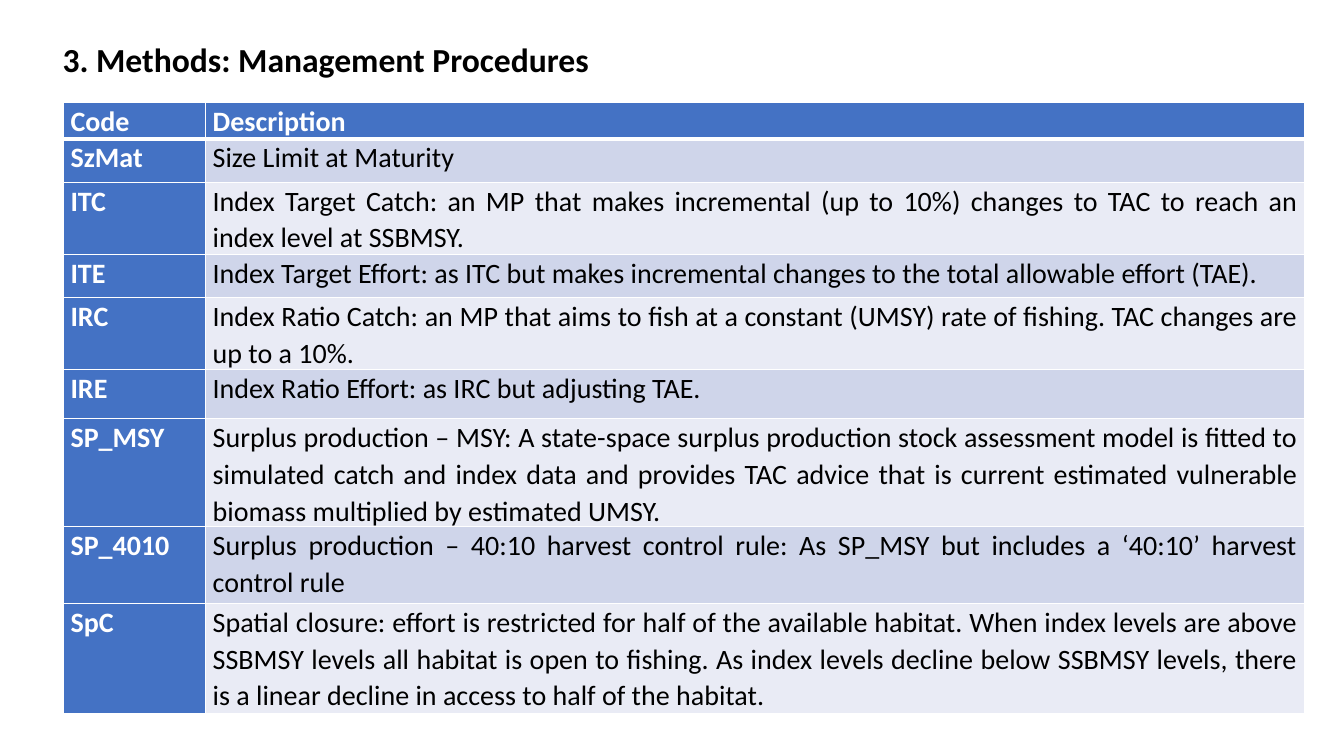
from pptx import Presentation
from pptx import util as u
from pptx.dml import color
from pptx.enum import text
from pptx.oxml import parse_xml
from pptx.oxml import ns

FONT = "Calibri"
BLUE, WHITE, BLACK = "4472C4", "FFFFFF", "000000"
BANDS = ["E9EBF5", "CFD5EA"]
COLUMN_WIDTHS = [1.41, 10.9]
PROCEDURES = [
    (0.22, "Code", "Description"),
    (0.43, "SzMat", "Size Limit at Maturity"),
    (0.65, "ITC", "Index Target Catch: an MP that makes incremental (up to 10%) changes "
                  "to TAC to reach an index level at SSBMSY."),
    (0.43, "ITE", "Index Target Effort: as ITC but makes incremental changes to the "
                  "total allowable effort (TAE)."),
    (0.65, "IRC", "Index Ratio Catch: an MP that aims to fish at a constant (UMSY) rate "
                  "of fishing. TAC changes are up to a 10%."),
    (0.49, "IRE", "Index Ratio Effort: as IRC but adjusting TAE."),
    (0.65, "SP_MSY", "Surplus production – MSY: A state-space surplus production stock "
                     "assessment model is fitted to simulated catch and index data and "
                     "provides TAC advice that is current estimated vulnerable biomass "
                     "multiplied by estimated UMSY."),
    (0.76, "SP_4010", "Surplus production – 40:10 harvest control rule: As SP_MSY but "
                      "includes a ‘40:10’ harvest control rule"),
    (1.09, "SpC", "Spatial closure: effort is restricted for half of the available "
                  "habitat. When index levels are above SSBMSY levels all habitat is open "
                  "to fishing. As index levels decline below SSBMSY levels, there is a "
                  "linear decline in access to half of the habitat."),
]


def rgb(value):
    """Return the colour for a hex string."""
    return color.RGBColor.from_string(value)


def add_run(para, words, size, ink, bold):
    """Add one formatted run to a paragraph."""
    span = para.add_run()
    span.text = words
    span.font.name = FONT
    span.font.size = u.Pt(size)
    span.font.bold = bold
    span.font.color.rgb = rgb(ink)


def set_title(page, words):
    """Place and format the slide title."""
    box = page.shapes.title
    box.left, box.top = u.Inches(0.52), u.Inches(0.34)
    box.width, box.height = u.Inches(6.26), u.Inches(0.5)
    frame = box.text_frame
    frame.word_wrap = True
    frame.auto_size = text.MSO_AUTO_SIZE.SHAPE_TO_FIT_TEXT
    frame.vertical_anchor = text.MSO_ANCHOR.TOP
    para = frame.paragraphs[0]
    para.alignment = text.PP_ALIGN.LEFT
    add_run(para, words, 24, BLACK, True)


def set_borders(cell, bottom, top):
    """Draw white borders around a cell, with widths in points."""
    properties = cell._tc.get_or_add_tcPr()
    widths = {"lnL": 1, "lnR": 1, "lnT": top, "lnB": bottom}
    for place, (side, width) in enumerate(widths.items()):
        properties.insert(place, parse_xml(
            f'<a:{side} {ns.nsdecls("a")} w="{u.Pt(width)}"><a:solidFill>'
            f'<a:srgbClr val="{WHITE}"/></a:solidFill></a:{side}>'))


def fill_cell(cell, words, row, is_label):
    """Write and format one cell of the table."""
    strong = row == 0 or is_label
    cell.margin_left = cell.margin_right = u.Inches(0.07)
    cell.margin_top = cell.margin_bottom = 0
    cell.fill.solid()
    cell.fill.fore_color.rgb = rgb(BLUE if strong else BANDS[row % 2])
    set_borders(cell, bottom=3 if row == 0 else 1, top=3 if row == 1 else 1)
    para = cell.text_frame.paragraphs[0]
    para.alignment = text.PP_ALIGN.JUSTIFY
    para.line_spacing = 1.07
    para.space_after = u.Pt(8)
    add_run(para, words, 20, WHITE if strong else BLACK, strong)


def add_procedures(page):
    """Add the table of management procedures."""
    frame = page.shapes.add_table(
        len(PROCEDURES), len(COLUMN_WIDTHS),
        u.Inches(0.63), u.Inches(1.02), u.Inches(12.31), u.Inches(5.98))
    table = frame.table
    table.first_col = True
    for column, width in zip(table.columns, COLUMN_WIDTHS):
        column.width = u.Inches(width)
    for row, (height, code, description) in enumerate(PROCEDURES):
        table.rows[row].height = u.Inches(height)
        fill_cell(table.cell(row, 0), code, row, True)
        fill_cell(table.cell(row, 1), description, row, False)
    frame.height = u.Inches(5.98)


def main():
    """Build the slide and save the deck."""
    deck = Presentation()
    deck.slide_width, deck.slide_height = u.Inches(13.33), u.Inches(7.5)
    page = deck.slides.add_slide(deck.slide_layouts[5])
    set_title(page, "3. Methods: Management Procedures")
    add_procedures(page)
    deck.save("out.pptx")


if __name__ == "__main__":
    main()
